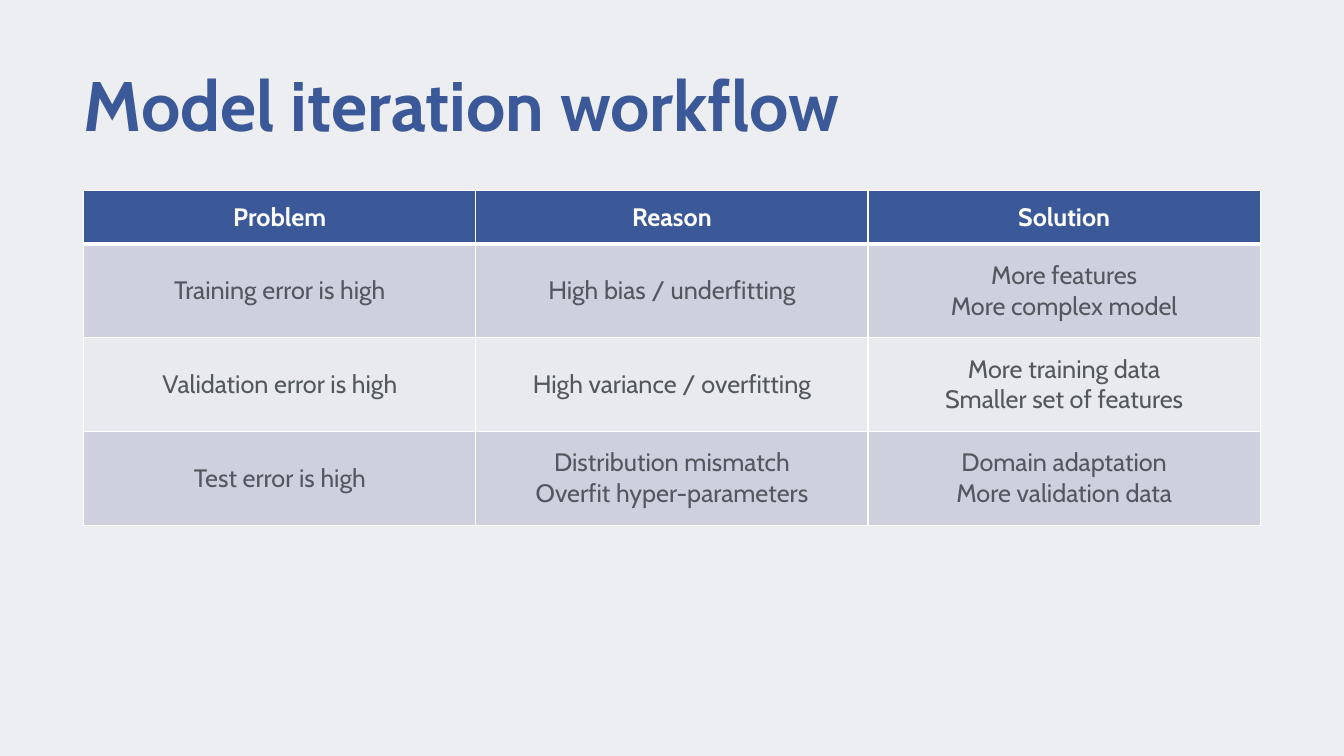
from dataclasses import dataclass

from lxml import etree
from pptx import Presentation
from pptx.dml.color import RGBColor
from pptx.enum.text import MSO_ANCHOR, PP_ALIGN
from pptx.oxml.ns import qn
from pptx.util import Inches, Pt

MIDDLE = MSO_ANCHOR.MIDDLE
LEFT, CENTER = PP_ALIGN.LEFT, PP_ALIGN.CENTER

TITLE = "Model iteration workflow"
WORKFLOW = [
    ("Problem", "Reason", "Solution"),
    ("Training error is high", "High bias / underfitting", "More features\nMore complex model"),
    ("Validation error is high", "High variance / overfitting", "More training data\nSmaller set of features"),
    ("Test error is high", "Distribution mismatch\nOverfit hyper-parameters", "Domain adaptation\nMore validation data"),
]


@dataclass(frozen=True)
class Theme:
    font: str = "Cabin"
    background: str = "EDEEF1"
    accent: str = "3B5998"
    header_text: str = "FFFFFF"
    body_text: str = "53585F"
    bands: tuple = ("CED1DD", "E8EAEF")
    border: str = "FFFFFF"
    title_size: int = 50
    table_size: int = 18
    thin_border: int = 1
    header_border: int = 3


THEME = Theme()
MARGIN, CONTENT_WIDTH = 0.83, 11.67
TITLE_TOP, TITLE_HEIGHT = 0.57, 1.01
TABLE_TOP, HEADER_HEIGHT, BODY_HEIGHT = 1.89, 0.53, 0.93


def style_text(frame, size, color, bold, alignment):
    for paragraph in frame.paragraphs:
        paragraph.alignment = alignment
        for run in paragraph.runs:
            run.font.name = THEME.font
            run.font.size = Pt(size)
            run.font.bold = bold
            run.font.color.rgb = RGBColor.from_string(color)


def add_border(cell, side, width):
    properties = cell._tc.get_or_add_tcPr()
    line = etree.SubElement(properties, qn(f"a:ln{side}"), w=str(Pt(width)))
    fill = etree.SubElement(line, qn("a:solidFill"))
    etree.SubElement(fill, qn("a:srgbClr"), val=THEME.border)


def add_title(slide):
    title = slide.shapes.title
    title.left, title.top = Inches(MARGIN), Inches(TITLE_TOP)
    title.width, title.height = Inches(CONTENT_WIDTH), Inches(TITLE_HEIGHT)
    frame = title.text_frame
    frame.text = TITLE
    frame.word_wrap = True
    frame.vertical_anchor = MIDDLE
    frame.margin_left = frame.margin_right = frame.margin_top = frame.margin_bottom = 0
    frame.paragraphs[0].line_spacing = 0.9
    style_text(frame, THEME.title_size, THEME.accent, True, LEFT)


def fill_cell(cell, text, row):
    is_header = row == 0
    header_edges = {(0, "B"), (1, "T")}
    for side in "LRTB":
        width = THEME.header_border if (row, side) in header_edges else THEME.thin_border
        add_border(cell, side, width)
    background = THEME.accent if is_header else THEME.bands[(row - 1) % 2]
    cell.fill.solid()
    cell.fill.fore_color.rgb = RGBColor.from_string(background)
    cell.vertical_anchor = MIDDLE
    cell.text_frame.text = text
    color = THEME.header_text if is_header else THEME.body_text
    style_text(cell.text_frame, THEME.table_size, color, is_header, CENTER)


def add_workflow(slide):
    row_count, column_count = len(WORKFLOW), len(WORKFLOW[0])
    heights = [HEADER_HEIGHT] + [BODY_HEIGHT] * (row_count - 1)
    table = slide.shapes.add_table(
        row_count, column_count, Inches(MARGIN), Inches(TABLE_TOP),
        Inches(CONTENT_WIDTH), Inches(sum(heights)),
    ).table
    for column in table.columns:
        column.width = Inches(CONTENT_WIDTH / column_count)
    for row, texts in enumerate(WORKFLOW):
        table.rows[row].height = Inches(heights[row])
        for column, text in enumerate(texts):
            fill_cell(table.cell(row, column), text, row)


def main():
    deck = Presentation()
    deck.slide_width, deck.slide_height = Inches(13.33), Inches(7.5)
    slide = deck.slides.add_slide(deck.slide_layouts[5])
    slide.background.fill.solid()
    slide.background.fill.fore_color.rgb = RGBColor.from_string(THEME.background)
    add_title(slide)
    add_workflow(slide)
    deck.save("out.pptx")


if __name__ == "__main__":
    main()
